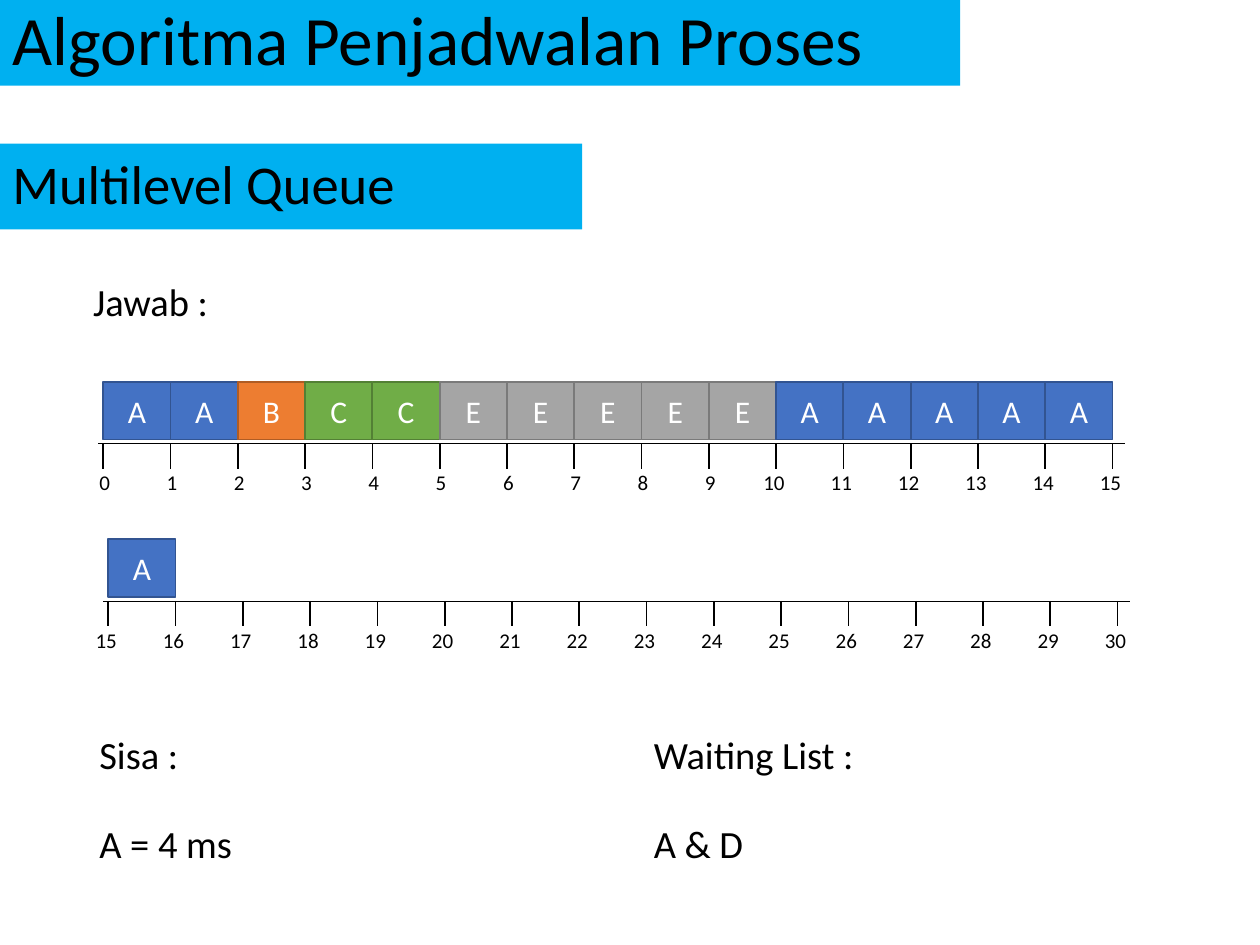
from dataclasses import dataclass

from lxml import etree
from pptx import Presentation
from pptx.dml.color import RGBColor
from pptx.enum import shapes, text
from pptx.oxml import ns
from pptx.util import Inches, Pt


@dataclass(frozen=True)
class Theme:
    font: str = "Calibri"
    black: str = "000000"
    white: str = "FFFFFF"
    banner: str = "00B0F0"
    title_size: float = 39.6
    subtitle_size: float = 31.2
    body_size: float = 22
    block_size: float = 18
    tick_size: float = 12
    axis_width: float = 0.5
    line_width: float = 1


THEME = Theme()
PROCESS_COLOURS = {  # process: (fill, outline)
    "A": ("4472C4", "325491"),
    "B": ("ED7D31", "AF5C24"),
    "C": ("70AD47", "538035"),
    "E": ("A5A5A5", "7A7A7A"),
}
SLOTS = 15
SLOT_WIDTH = 8.01 / SLOTS
BLOCK_HEIGHT = 0.46
AXIS_DROP = 0.49
TICK_LENGTH = 0.2
AXIS_OVERHANG = 0.04
AXIS_LENGTH = 8.15


def write(shape, words, size, colour=THEME.black, align=text.PP_ALIGN.LEFT,
          anchor=text.MSO_ANCHOR.TOP, spacing=None):
    frame = shape.text_frame
    frame_format = {"word_wrap": True, "vertical_anchor": anchor,
                    "auto_size": text.MSO_AUTO_SIZE.NONE}
    for name, value in frame_format.items():
        setattr(frame, name, value)
    paragraph = frame.paragraphs[0]
    paragraph.text = words
    paragraph.alignment = align
    if spacing:
        paragraph.line_spacing = spacing
    for name, value in {"name": THEME.font, "size": Pt(size), "bold": False}.items():
        setattr(paragraph.font, name, value)
    paragraph.font.color.rgb = RGBColor.from_string(colour)


def paint(shape, fill, outline=None):
    shape.fill.solid()
    shape.fill.fore_color.rgb = RGBColor.from_string(fill)
    if outline:
        shape.line.color.rgb = RGBColor.from_string(outline)
        shape.line.width = Pt(THEME.line_width)
    else:
        shape.line.fill.background()


def add_rectangle(slide, box):
    shape = slide.shapes.add_shape(shapes.MSO_SHAPE.RECTANGLE, *map(Inches, box))
    shape.shadow.inherit = False
    return shape


def add_label(slide, box, words, size, align=text.PP_ALIGN.LEFT):
    write(slide.shapes.add_textbox(*map(Inches, box)), words, size, align=align)


def add_line(slide, start, end, width):
    line = slide.shapes.add_connector(
        shapes.MSO_CONNECTOR.STRAIGHT, *map(Inches, (*start, *end)))
    line.line.color.rgb = RGBColor.from_string(THEME.black)
    line.line.width = Pt(width)
    etree.SubElement(line._element.spPr, ns.qn("a:effectLst"))


def format_banner(shape, box, words, size):
    for name, value in zip(("left", "top", "width", "height"), box):
        setattr(shape, name, Inches(value))
    paint(shape, THEME.banner)
    write(shape, words, size, anchor=text.MSO_ANCHOR.MIDDLE, spacing=0.9)


def add_timeline(slide, left, top, first_time, processes):
    """Draw one row of the Gantt chart, with one block per time unit."""
    axis = top + AXIS_DROP
    axis_left = left - AXIS_OVERHANG
    add_line(slide, (axis_left, axis), (axis_left + AXIS_LENGTH, axis),
             THEME.axis_width)
    for slot in range(SLOTS + 1):
        x = left + slot * SLOT_WIDTH
        add_line(slide, (x, axis), (x, axis + TICK_LENGTH), THEME.line_width)
        time = str(first_time + slot)
        offset, width = (0.13, 0.33) if len(time) == 1 else (0.2, 0.42)
        add_label(slide, (x - offset, axis + 0.16, width, 0.3), time,
                  THEME.tick_size)
    for slot, process in enumerate(processes):
        block = add_rectangle(
            slide, (left + slot * SLOT_WIDTH, top, SLOT_WIDTH, BLOCK_HEIGHT))
        paint(block, *PROCESS_COLOURS[process])
        write(block, process, THEME.block_size, THEME.white,
              text.PP_ALIGN.CENTER, text.MSO_ANCHOR.MIDDLE)


def add_summary(slide, left, top, heading, value):
    for row, words in enumerate((heading, value)):
        add_label(slide, (left, top + row * 0.71, 1.98, 0.47), words,
                  THEME.body_size, text.PP_ALIGN.JUSTIFY)


def main():
    presentation = Presentation()
    presentation.slide_width = Inches(10)
    presentation.slide_height = Inches(7.5)
    slide = presentation.slides.add_slide(presentation.slide_layouts[5])

    format_banner(slide.shapes.title, (0, 0, 7.62, 0.68),
                  "Algoritma Penjadwalan Proses", THEME.title_size)
    subtitle_box = (0, 1.14, 4.62, 0.68)
    format_banner(add_rectangle(slide, subtitle_box), subtitle_box,
                  "Multilevel Queue", THEME.subtitle_size)
    add_label(slide, (0.64, 2.16, 1.98, 0.47), "Jawab :", THEME.body_size,
              text.PP_ALIGN.JUSTIFY)
    add_timeline(slide, 0.82, 3.03, 0, "AABCCEEEEEAAAAA")
    add_timeline(slide, 0.86, 4.28, 15, "A")
    add_summary(slide, 0.69, 5.75, "Sisa :", "A = 4 ms")
    add_summary(slide, 5.09, 5.75, "Waiting List :", "A & D")

    presentation.save("out.pptx")


if __name__ == "__main__":
    main()
